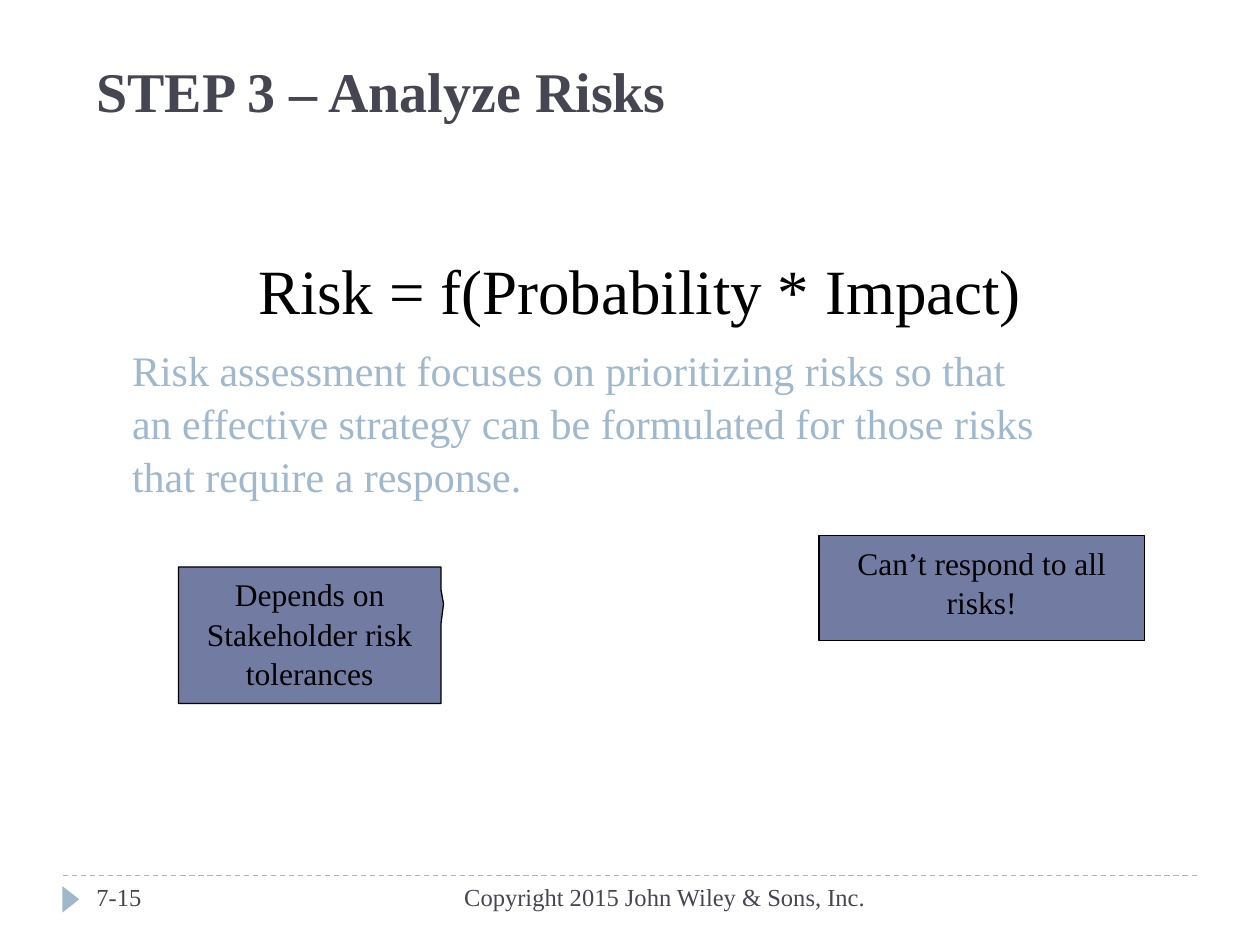
import dataclasses

import lxml.etree
import pptx
import pptx.dml.color
import pptx.enum.dml
import pptx.enum.shapes
import pptx.enum.text
import pptx.oxml.ns
import pptx.util

ALIGN = pptx.enum.text.PP_ALIGN
ANCHOR = pptx.enum.text.MSO_ANCHOR
SHAPE = pptx.enum.shapes.MSO_SHAPE


@dataclasses.dataclass(frozen=True)
class Theme:
    """Colours, type sizes and line settings of the slide."""
    font: str = "Times New Roman"
    heading: str = "464653"
    accent: str = "9FB8CD"
    callout: str = "727CA3"
    ink: str = "000000"
    title_size: int = 32
    formula_size: int = 36
    body_size: int = 24
    callout_size: int = 18
    footer_size: int = 14
    line_width: float = 0.75
    leading: float = 1.05


THEME = Theme()
COLUMNS, ROWS = 120, 90
CELL = pptx.util.Inches(10) // COLUMNS


def grid(*cells):
    """Turn counts of grid cells into lengths."""
    return [pptx.util.Emu(round(cell * CELL)) for cell in cells]


def rgb(colour):
    """Turn a hex string into a colour."""
    return pptx.dml.color.RGBColor.from_string(colour)


def write(frame, lines, size, colour, align=ALIGN.LEFT, bold=False, leading=1.0):
    """Write each line as a paragraph with one run."""
    for index, line in enumerate(lines):
        para = frame.add_paragraph() if index else frame.paragraphs[0]
        para.alignment = align
        para.line_spacing = leading
        span = para.add_run()
        span.text = line
        span.font.name = THEME.font
        span.font.size = pptx.util.Pt(size)
        span.font.bold = bold
        span.font.color.rgb = rgb(colour)


def add_text(page, place, lines, size, colour, wrap=True, anchor=ANCHOR.TOP, **style):
    """Add a text box at a place on the grid."""
    frame = page.shapes.add_textbox(*grid(*place)).text_frame
    frame.word_wrap = wrap
    frame.vertical_anchor = anchor
    write(frame, lines, size, colour, **style)


def add_callout(page, place, pointer, text):
    """Add a rectangular callout with its pointer tip."""
    box = page.shapes.add_shape(SHAPE.RECTANGULAR_CALLOUT, *grid(*place))
    box.adjustments[0], box.adjustments[1] = pointer
    box.shadow.inherit = False
    box.fill.solid()
    box.fill.fore_color.rgb = rgb(THEME.callout)
    box.line.color.rgb = rgb(THEME.ink)
    box.line.width = pptx.util.Pt(THEME.line_width)
    box.text_frame.word_wrap = True
    box.text_frame.vertical_anchor = ANCHOR.TOP
    write(box.text_frame, [text], THEME.callout_size, THEME.ink,
          align=ALIGN.CENTER, leading=THEME.leading)


def add_footer(page, top):
    """Add the dashed rule, marker, page number and copyright line."""
    rule = page.shapes.add_connector(
        pptx.enum.shapes.MSO_CONNECTOR.STRAIGHT, *grid(6, top, COLUMNS - 6, top))
    rule.line.color.rgb = rgb(THEME.accent)
    rule.line.width = pptx.util.Pt(THEME.line_width)
    rule.line.dash_style = pptx.enum.dml.MSO_LINE.DASH
    lxml.etree.SubElement(rule._element.spPr, pptx.oxml.ns.qn("a:effectLst"))

    marker = page.shapes.add_shape(
        SHAPE.ISOSCELES_TRIANGLE, *grid(5.5, top + 1.45, 2.5, 1.6))
    marker.rotation = 90
    marker.shadow.inherit = False
    marker.fill.solid()
    marker.fill.fore_color.rgb = rgb(THEME.accent)
    marker.line.fill.background()

    add_text(page, (8, top, 26, 4.8), ["7-15"], THEME.footer_size, THEME.heading)
    add_text(page, (38, top, 45.6, 4.8), ["Copyright 2015 John Wiley & Sons, Inc."],
             THEME.footer_size, THEME.heading, align=ALIGN.RIGHT)


def main():
    """Build the slide and save it."""
    deck = pptx.Presentation()
    deck.slide_width, deck.slide_height = grid(COLUMNS, ROWS)
    page = deck.slides.add_slide(deck.slide_layouts[6])

    add_text(page, (8, 2, 103.7, 10.4), ["STEP 3 – Analyze Risks"],
             THEME.title_size, THEME.heading, anchor=ANCHOR.BOTTOM, bold=True)
    add_text(page, (23.4, 23, 75.1, 8.4), ["Risk = f(Probability * Impact)"],
             THEME.formula_size, THEME.ink, wrap=False, leading=THEME.leading)
    add_text(page, (11.4, 32, 88.3, 20.4),
             ["Risk assessment focuses on prioritizing risks so that",
              "an effective strategy can be formulated for those risks",
              "that require a response."],
             THEME.body_size, THEME.accent, wrap=False, leading=THEME.leading)
    add_callout(page, (78, 51, 31, 10), (-0.5, 0.26), "Can’t respond to all risks!")
    add_callout(page, (17, 54, 25, 13), (0.51, -0.23),
                "Depends on Stakeholder risk tolerances")
    add_footer(page, 83.4)

    deck.save("out.pptx")


if __name__ == "__main__":
    main()
